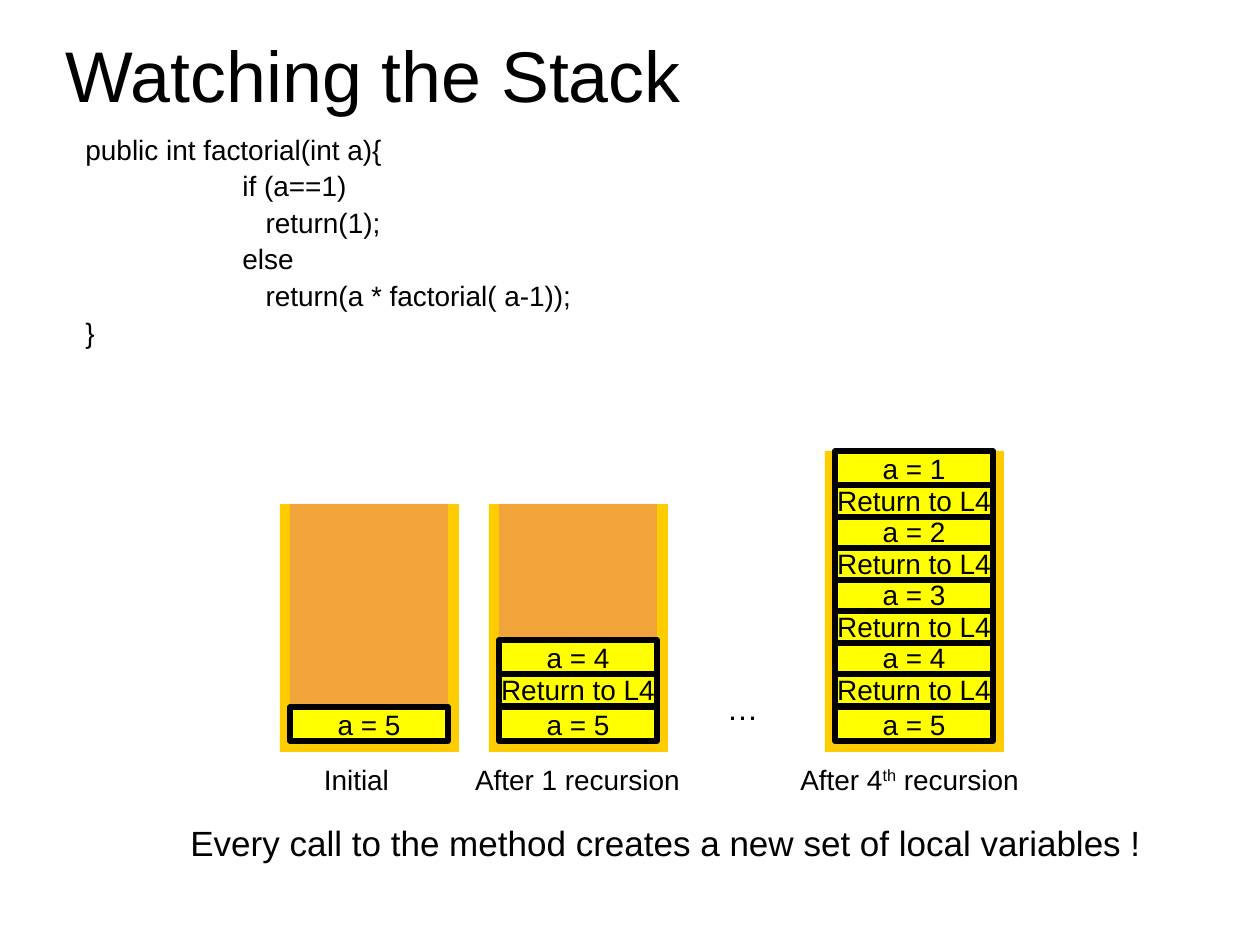
from pptx import Presentation
from pptx import util as u
from pptx.dml import color
from pptx.enum import shapes, text

HUES = {"ink": "000000", "rim": "FFCC00", "core": "F0A43A", "cell": "FFFF00"}
SCALE = 914400 / 126
CODE = [
    (0, "public int factorial(int a){"),
    (1, "if (a==1)"),
    (1, "   return(1);"),
    (1, "else"),
    (1, "   return(a * factorial( a-1));"),
    (0, "}"),
]
STACKS = [(280, 504, 5), (489, 504, 4), (825, 451, 1)]
LABELS = [
    (311, 91, ["Initial"]),
    (462, 231, ["After 1 recursion"]),
    (786, 247, ["After 4", "th", " recursion"]),
]


def px(n):
    return u.Emu(round(n * SCALE))


def hue(name):
    return color.RGBColor.from_string(HUES[name])


class Deck:
    face = "Arial"

    def __init__(self, wide, high):
        self.show = Presentation()
        self.show.slide_width, self.show.slide_height = px(wide), px(high)
        self.slide = self.show.slides.add_slide(self.show.slide_layouts[5])

    def style(self, para, size, align=text.PP_ALIGN.CENTER):
        para.alignment = align
        para.font.name = self.face
        para.font.size = u.Pt(size)
        para.font.color.rgb = hue("ink")

    def title(self, words, x, y, w, h):
        head = self.slide.shapes.title
        head.left, head.top, head.width, head.height = map(px, (x, y, w, h))
        frame = head.text_frame
        frame.text = words
        frame.auto_size = text.MSO_AUTO_SIZE.NONE
        frame.vertical_anchor = text.MSO_ANCHOR.MIDDLE
        self.style(frame.paragraphs[0], 41, text.PP_ALIGN.LEFT)

    def frame(self, x, y, w, h, wrap):
        box = self.slide.shapes.add_textbox(*map(px, (x, y, w, h)))
        box.text_frame.word_wrap = wrap
        return box.text_frame

    def code(self, lines, x, y, w, h):
        frame = self.frame(x, y, w, h, True)
        for i, (level, line) in enumerate(lines):
            para = frame.add_paragraph() if i else frame.paragraphs[0]
            para.text = line
            if level:
                para._p.get_or_add_pPr().set("marL", str(px(157 * level)))
            if i:
                para.line_spacing = 0.9
                para.space_before = u.Pt(3.7)
            self.style(para, 16, text.PP_ALIGN.LEFT)

    def label(self, parts, x, y, w, h, size=16, wrap=False):
        frame = self.frame(x, y, w, h, wrap)
        frame.auto_size = text.MSO_AUTO_SIZE.SHAPE_TO_FIT_TEXT
        para = frame.paragraphs[0]
        for part in parts:
            run = para.add_run()
            run.text = part
            if part == "th":
                run.font._element.set("baseline", "30000")
        self.style(para, size)

    def rect(self, fill, x, y, w, h):
        box = self.slide.shapes.add_shape(
            shapes.MSO_SHAPE.RECTANGLE, *map(px, (x, y, w, h)))
        box.shadow.inherit = False
        box.fill.solid()
        box.fill.fore_color.rgb = hue(fill)
        box.line.fill.background()
        return box

    def cell(self, words, x, y):
        box = self.rect("cell", x, y, 158, 34)
        box.line.color.rgb = hue("ink")
        box.line.width = u.Pt(3)
        frame = box.text_frame
        frame.word_wrap = False
        frame.vertical_anchor = text.MSO_ANCHOR.MIDDLE
        frame.margin_top = frame.margin_bottom = 0
        frame.text = words
        self.style(frame.paragraphs[0], 16)

    def stack(self, x, top, last):
        self.rect("rim", x, top, 179, 752 - top)
        self.rect("core", x + 10, 504, 158, 237)
        self.cell("a = 5", x + 10, 707)
        for i in range(1, 2 * (5 - last) + 1):
            words = "Return to L4" if i % 2 else f"a = {5 - i // 2}"
            self.cell(words, x + 10, 703 - 63 * i // 2)


def main():
    deck = Deck(1260, 945)
    deck.code(CODE, 73, 126, 1166, 231)
    deck.title("Watching the Stack", 53, 21, 1008, 105)
    for x, top, last in STACKS:
        deck.stack(x, top, last)
    for x, w, parts in LABELS:
        deck.label(parts, x, 756, w, 47)
    deck.label(["…"], 709, 683, 67, 63, 18)
    deck.label(["Every call to the method creates a new set of local variables !"],
               94, 815, 1144, 55, 20, True)
    deck.show.save("out.pptx")


if __name__ == "__main__":
    main()
